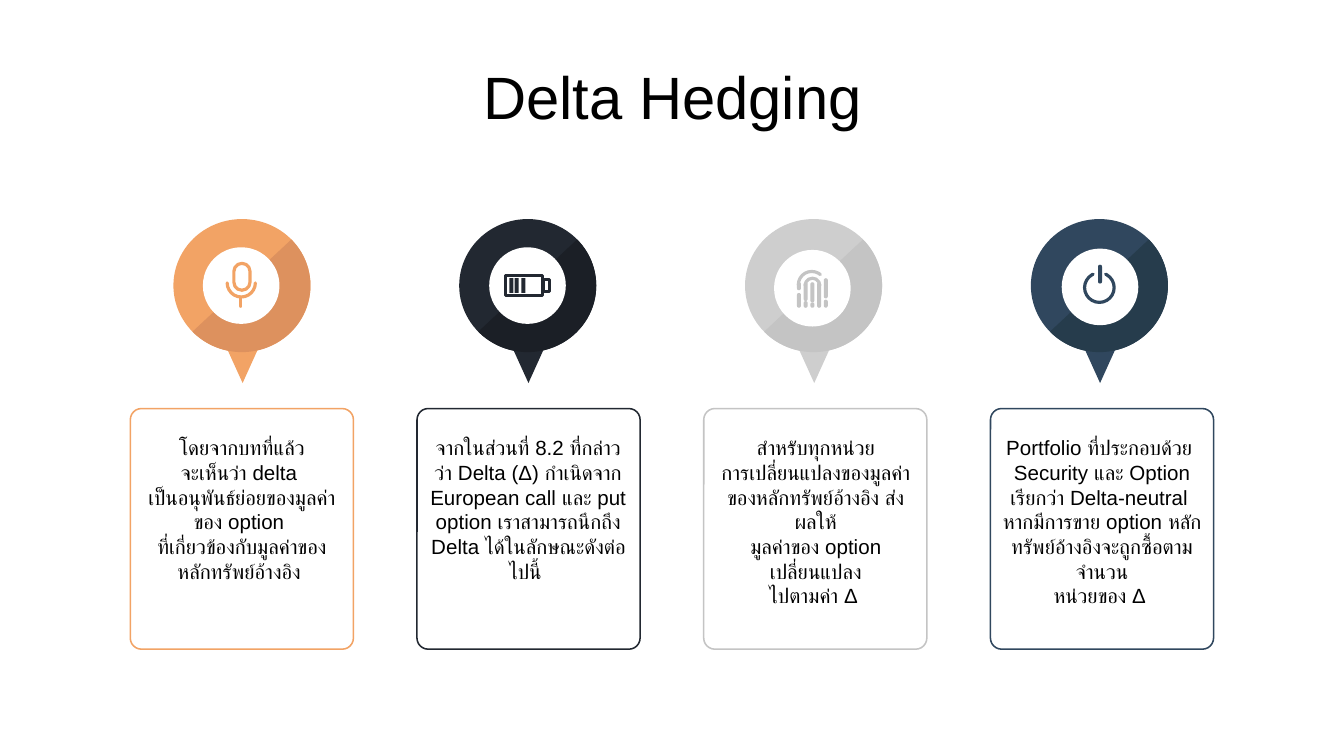
"""Build the Delta Hedging slide: four map pins above four outlined text cards."""
from copy import deepcopy
from dataclasses import dataclass

from lxml.etree import SubElement
from pptx import Presentation
from pptx.dml.color import RGBColor
from pptx.enum.shapes import MSO_SHAPE
from pptx.enum.text import MSO_ANCHOR, PP_ALIGN
from pptx.oxml.ns import qn
from pptx.util import Inches, Pt


@dataclass(frozen=True)
class Theme:
    font: str = "Arial"
    title_size: int = 32
    body_size: int = 11
    card_line: float = 0.81
    icon_line: float = 1.7
    text: str = "000000"
    white: str = "FFFFFF"
    orange: str = "F2A365"
    orange_shade: str = "DD915E"
    ink: str = "222831"
    ink_shade: str = "1B1F26"
    silver: str = "CECECE"
    silver_shade: str = "C4C4C4"
    navy: str = "30475E"
    navy_shade: str = "263C4C"


theme = Theme()
ARC, BAR, RECT = MSO_SHAPE.ARC, MSO_SHAPE.ROUNDED_RECTANGLE, MSO_SHAPE.RECTANGLE
DEGREE = 0.6


def add_figure(shapes, kind, area, fill=None, line=None, width=1, adjust=()):
    figure = shapes.add_shape(kind, *[Inches(length) for length in area])
    figure.shadow.inherit = False
    for index, value in enumerate(adjust):
        figure.adjustments[index] = value
    if fill:
        figure.fill.solid()
        figure.fill.fore_color.rgb = RGBColor.from_string(fill)
    else:
        figure.fill.background()
    if line:
        figure.line.color.rgb = RGBColor.from_string(line)
        figure.line.width = Pt(width)
        figure.line._get_or_add_ln().set("cap", "rnd")
    else:
        figure.line.fill.background()
    return figure


def add_text(page, text, area, size=theme.body_size, color=theme.text, anchor=MSO_ANCHOR.TOP):
    box = page.shapes.add_textbox(*[Inches(length) for length in area])
    frame = box.text_frame
    frame.word_wrap = True
    frame.vertical_anchor = anchor
    frame.margin_left = frame.margin_right = Inches(0.1)
    frame.margin_top = frame.margin_bottom = Inches(0.1)
    para = frame.paragraphs[0]
    para.alignment = PP_ALIGN.CENTER
    para.text = text.replace("\n", "\v")
    for span in para.runs:
        span.font.size = Pt(size)
        span.font.color.rgb = RGBColor.from_string(color)
        span.font.name = theme.font
        properties = span._r.get_or_add_rPr()
        SubElement(properties, qn("a:cs"), typeface=theme.font)
    for line_break in para._p.findall(qn("a:br")):
        line_break.insert(0, deepcopy(properties))


microphone = [
    (BAR, (1.74, 1.96, 0.12, 0.2), False, [0.5]),
    (ARC, (1.69, 2, 0.21, 0.21), False, [0, 180 * DEGREE]),
    (BAR, (1.78, 2.2, 0.02, 0.09), True, [0.5]),
]
battery = [
    (RECT, (3.76, 2.05, 0.28, 0.15), False, []),
    (RECT, (4.04, 2.08, 0.05, 0.09), False, []),
] + [(RECT, (left, 2.07, 0.03, 0.11), True, []) for left in (3.79, 3.83, 3.88)]
fingerprint = [
    (ARC, (5.94, 2.02, 0.2, 0.2), False, [180 * DEGREE, 310 * DEGREE]),
    (ARC, (5.99, 2.07, 0.11, 0.11), False, [180 * DEGREE, 0]),
] + [
    (BAR, (left, top, 0.03, height), True, [0.5])
    for left, top, height in (
        (5.93, 2.1, 0.06), (5.93, 2.18, 0.11), (5.98, 2.1, 0.14), (5.98, 2.24, 0.05),
        (6.03, 2.1, 0.15), (6.03, 2.25, 0.04), (6.08, 2.1, 0.19),
        (6.13, 2.07, 0.15), (6.13, 2.23, 0.06),
    )
]
power = [
    (ARC, (8.07, 2.03, 0.22, 0.22), False, [295 * DEGREE, 245 * DEGREE]),
    (BAR, (8.17, 1.97, 0.03, 0.14), True, [0.5]),
]

columns = [
    (theme.orange, theme.orange_shade, theme.orange, microphone, (1.51, 1.84), (0.97, 1.66, 1.68),
     "โดยจากบทที่แล้ว\nจะเห็นว่า delta \nเป็นอนุพันธ์ย่อยของมูลค่าของ option \n"
     "ที่เกี่ยวข้องกับมูลค่าของหลักทรัพย์อ้างอิง "),
    (theme.ink, theme.ink_shade, theme.ink, battery, (3.64, 1.84), (3.1, 1.66, 1.68),
     "จากในส่วนที่ 8.2 ที่กล่าวว่า Delta (Δ) กำเนิดจาก European call และ put option "
     "เราสามารถนึกถึง Delta ได้ในลักษณะดังต่อไปนี้ "),
    (theme.silver, theme.silver_shade, theme.silver_shade, fingerprint, (5.76, 1.86), (5.24, 1.66, 1.58),
     "สำหรับทุกหน่วย\nการเปลี่ยนแปลงของมูลค่าของหลักทรัพย์อ้างอิง ส่งผลให้\n"
     "มูลค่าของ option เปลี่ยนแปลง\nไปตามค่า Δ "),
    (theme.navy, theme.navy_shade, theme.navy, power, (7.9, 1.85), (7.31, 1.78, 1.68),
     "Portfolio ที่ประกอบด้วย \nSecurity และ Option เรียกว่า Delta-neutral \n"
     "หากมีการขาย option หลักทรัพย์อ้างอิงจะถูกซื้อตามจำนวน\nหน่วยของ Δ "),
]

deck = Presentation()
deck.slide_width = Inches(10)
deck.slide_height = Inches(10 * 9 / 16)
page = deck.slides.add_slide(deck.slide_layouts[6])

add_text(page, "Delta Hedging", (0.78, 0.45, 8.45, 0.53), size=theme.title_size, anchor=MSO_ANCHOR.MIDDLE)

for index, (color, shade, accent, icon, hole, (left, width, height), text) in enumerate(columns):
    card_left = 0.97 + 6.4 / 3 * index
    center = 1.8 + 6.38 / 3 * index
    ring = (center - 0.51, 1.63, 1.02, 0.99)
    add_figure(page.shapes, BAR, (card_left, 3.04, 1.66, 1.79),
               line=accent, width=theme.card_line, adjust=[0.05])
    pin = page.shapes.add_group_shape().shapes
    pointer = add_figure(pin, MSO_SHAPE.ISOSCELES_TRIANGLE, (center - 0.14, 2.53, 0.29, 0.32), fill=color)
    pointer.rotation = 180
    add_figure(pin, MSO_SHAPE.OVAL, ring, fill=color)
    add_figure(pin, MSO_SHAPE.CHORD, ring, fill=shade, adjust=[317 * DEGREE, 137 * DEGREE])
    add_figure(pin, MSO_SHAPE.OVAL, (*hole, 0.57, 0.57), fill=theme.white)
    for kind, area, solid, adjust in icon:
        paint = {"fill": accent} if solid else {"line": accent, "width": theme.icon_line}
        add_figure(pin, kind, area, adjust=adjust, **paint)
    add_text(page, text, (left, 3.14, width, height))

deck.save("out.pptx")
